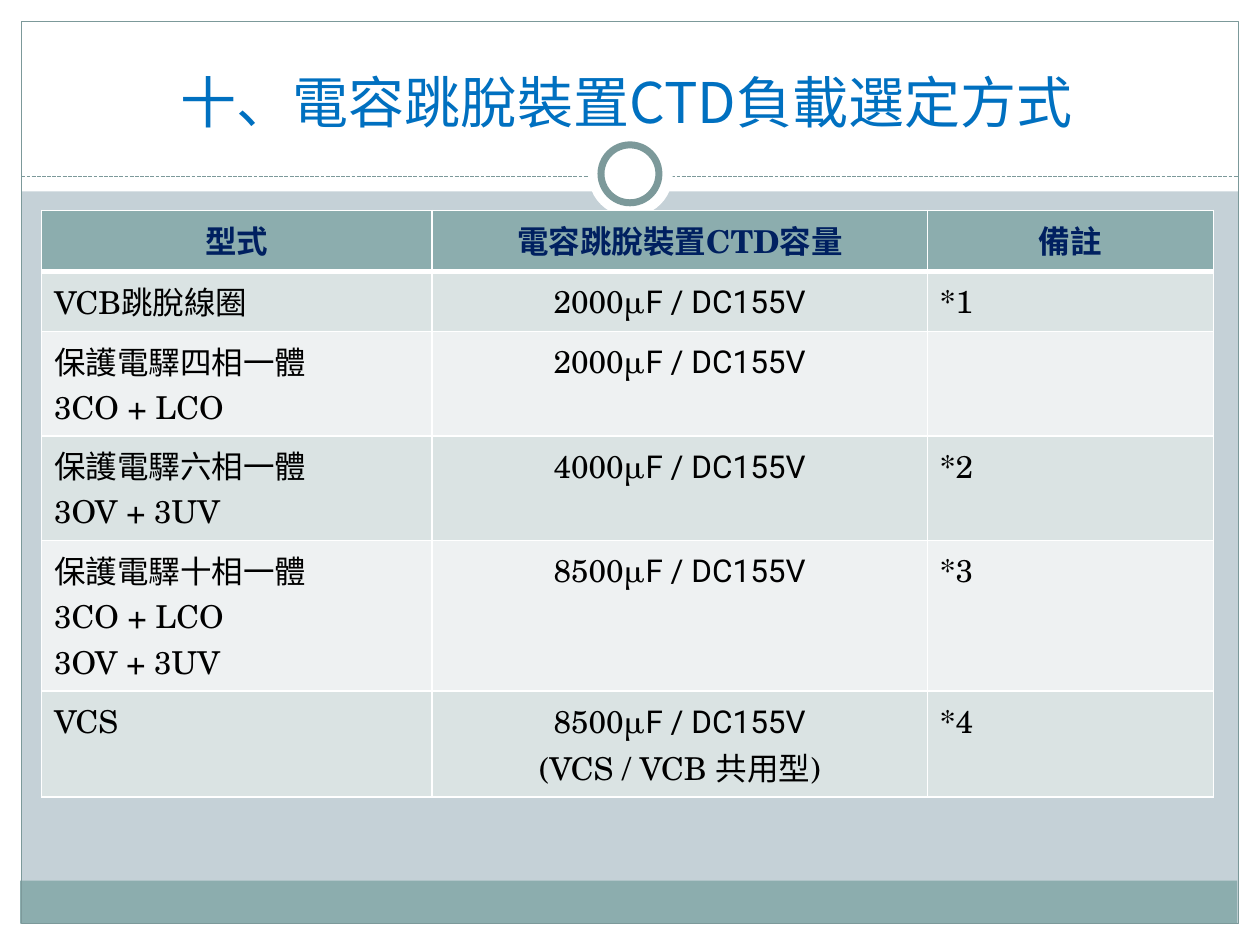
from lxml import etree
from pptx import Presentation
from pptx.dml.color import RGBColor
from pptx.enum.dml import MSO_LINE_DASH_STYLE as Dash
from pptx.enum.shapes import MSO_CONNECTOR as Connector, MSO_SHAPE as Shape
from pptx.enum.text import MSO_ANCHOR as Anchor, MSO_AUTO_SIZE as AutoSize, PP_ALIGN as Align
from pptx.oxml.ns import qn
from pptx.util import Inches, Pt

WHITE = RGBColor(0xFF, 0xFF, 0xFF)
BLACK = RGBColor(0x00, 0x00, 0x00)
BACKGROUND = RGBColor(0xC5, 0xD1, 0xD7)
TEAL = RGBColor(0x8C, 0xAD, 0xAE)
DARK_TEAL = RGBColor(0x7C, 0x99, 0x9A)
BLUE = RGBColor(0x00, 0x70, 0xC0)
NAVY = RGBColor(0x00, 0x20, 0x60)
BANDS = [RGBColor(0xDA, 0xE3, 0xE3), RGBColor(0xEE, 0xF1, 0xF2)]

CJK = "Noto Sans CJK SC"
SANS = "Roboto"
SERIF = "TeX Gyre Schola"


class SlideBuilder:
    def __init__(self, slide):
        self.slide = slide
        self.body_size = 18
        self.title_size = 32

    def background(self, color):
        fill = self.slide.background.fill
        fill.solid()
        fill.fore_color.rgb = color

    def shape(self, kind, box, fill=None, line=None, width=0.75):
        shape = self.slide.shapes.add_shape(kind, *map(Inches, box))
        shape.shadow.inherit = False
        if fill is None:
            shape.fill.background()
        else:
            shape.fill.solid()
            shape.fill.fore_color.rgb = fill
        if line is None:
            shape.line.fill.background()
        else:
            shape.line.color.rgb = line
            shape.line.width = Pt(width)

    def dashed_line(self, left, right, top, color):
        line = self.slide.shapes.add_connector(
            Connector.STRAIGHT, Inches(left), Inches(top), Inches(right), Inches(top))
        line.line.color.rgb = color
        line.line.width = Pt(0.75)
        line.line.dash_style = Dash.SQUARE_DOT
        etree.SubElement(line.element.spPr, qn("a:effectLst"))

    def run(self, paragraph, text, font, size, color, bold=False):
        run = paragraph.add_run()
        run.text = text
        run.font.name = font
        run.font.size = Pt(size)
        run.font.bold = bold
        run.font.color.rgb = color
        east_asian = etree.SubElement(run.font._element, qn("a:ea"))
        east_asian.set("typeface", CJK)

    def title(self, text, box):
        title = self.slide.shapes.title
        title.left, title.top, title.width, title.height = map(Inches, box)
        title.element.getparent().append(title.element)
        frame = title.text_frame
        frame.auto_size = AutoSize.NONE
        frame.word_wrap = True
        frame.vertical_anchor = Anchor.BOTTOM
        paragraph = frame.paragraphs[0]
        paragraph.alignment = Align.CENTER
        self.run(paragraph, text, CJK, self.title_size, BLUE)

    def borders(self, cell, widths):
        properties = cell._tc.get_or_add_tcPr()
        for side, width in zip("LRTB", widths):
            line = etree.SubElement(properties, qn(f"a:ln{side}"), w=str(Pt(width)))
            fill = etree.SubElement(line, qn("a:solidFill"))
            etree.SubElement(fill, qn("a:srgbClr"), val=str(WHITE))

    def cell(self, cell, lines, fill, color, centered, bold, widths):
        self.borders(cell, widths)
        cell.fill.solid()
        cell.fill.fore_color.rgb = fill
        frame = cell.text_frame
        for index, runs in enumerate(lines):
            paragraph = frame.add_paragraph() if index else frame.paragraphs[0]
            paragraph.alignment = Align.CENTER if centered else Align.LEFT
            for text, font in runs:
                self.run(paragraph, text, font, self.body_size, color, bold)

    def table(self, box, column_widths, row_height, rows):
        frame = self.slide.shapes.add_table(len(rows), len(column_widths), *map(Inches, box))
        table = frame.table
        for column, width in zip(table.columns, column_widths):
            column.width = Inches(width)
        for row in table.rows:
            row.height = Inches(row_height)
        frame.height = Inches(box[3])
        for row_index, row in enumerate(rows):
            header = row_index == 0
            fill = TEAL if header else BANDS[(row_index - 1) % 2]
            color = NAVY if header else BLACK
            top = 3 if row_index == 1 else 1
            bottom = 3 if header else 1
            for column_index, lines in enumerate(row):
                self.cell(table.cell(row_index, column_index), lines, fill, color,
                          header or column_index == 1, header, (1, 1, top, bottom))


def serif(text):
    return [(text, SERIF)]


def cjk(text):
    return [(text, CJK)]


def capacity(amount):
    return [(f"{amount}μ", SERIF), ("F / DC155V", SANS)]


def main():
    presentation = Presentation()
    presentation.slide_width = Inches(10)
    presentation.slide_height = Inches(7.5)
    builder = SlideBuilder(presentation.slides.add_slide(presentation.slide_layouts[5]))
    builder.background(BACKGROUND)

    margins = [(0, 7.33, 10, 0.17), (0, 0, 10, 1.52), (0, 0, 0.17, 7.5), (9.83, 0, 0.17, 7.5)]
    for box in margins:
        builder.shape(Shape.RECTANGLE, box, WHITE)
    builder.shape(Shape.RECTANGLE, (0.16, 6.99, 9.66, 0.34), TEAL)
    builder.shape(Shape.RECTANGLE, (0.17, 0.17, 9.66, 7.16), line=DARK_TEAL)
    builder.dashed_line(0.17, 9.83, 1.4, DARK_TEAL)
    builder.shape(Shape.OVAL, (4.67, 1.05, 0.67, 0.67), WHITE)
    builder.shape(Shape.OVAL, (4.77, 1.15, 0.46, 0.46), WHITE, DARK_TEAL, 4)

    builder.title("十、電容跳脫裝置CTD負載選定方式", (0.31, 0.29, 9.33, 0.83))

    current = serif("3CO + LCO")
    voltage = serif("3OV + 3UV")
    rows = [
        [[serif("型式")], [serif("電容跳脫裝置CTD容量")], [serif("備註")]],
        [[serif("VCB") + cjk("跳脫線圈")], [capacity(2000)], [serif("*1")]],
        [[cjk("保護電驛四相一體"), current], [capacity(2000)], []],
        [[cjk("保護電驛六相一體"), voltage], [capacity(4000)], [serif("*2")]],
        [[cjk("保護電驛十相一體"), current, voltage], [capacity(8500)], [serif("*3")]],
        [[serif("VCS")], [capacity(8500), serif("(VCS / VCB 共用型)")], [serif("*4")]],
    ]
    builder.table((0.33, 1.67, 9.3, 3.91), (3.1, 3.93, 2.27), 0.41, rows)
    presentation.save("out.pptx")


if __name__ == "__main__":
    main()
